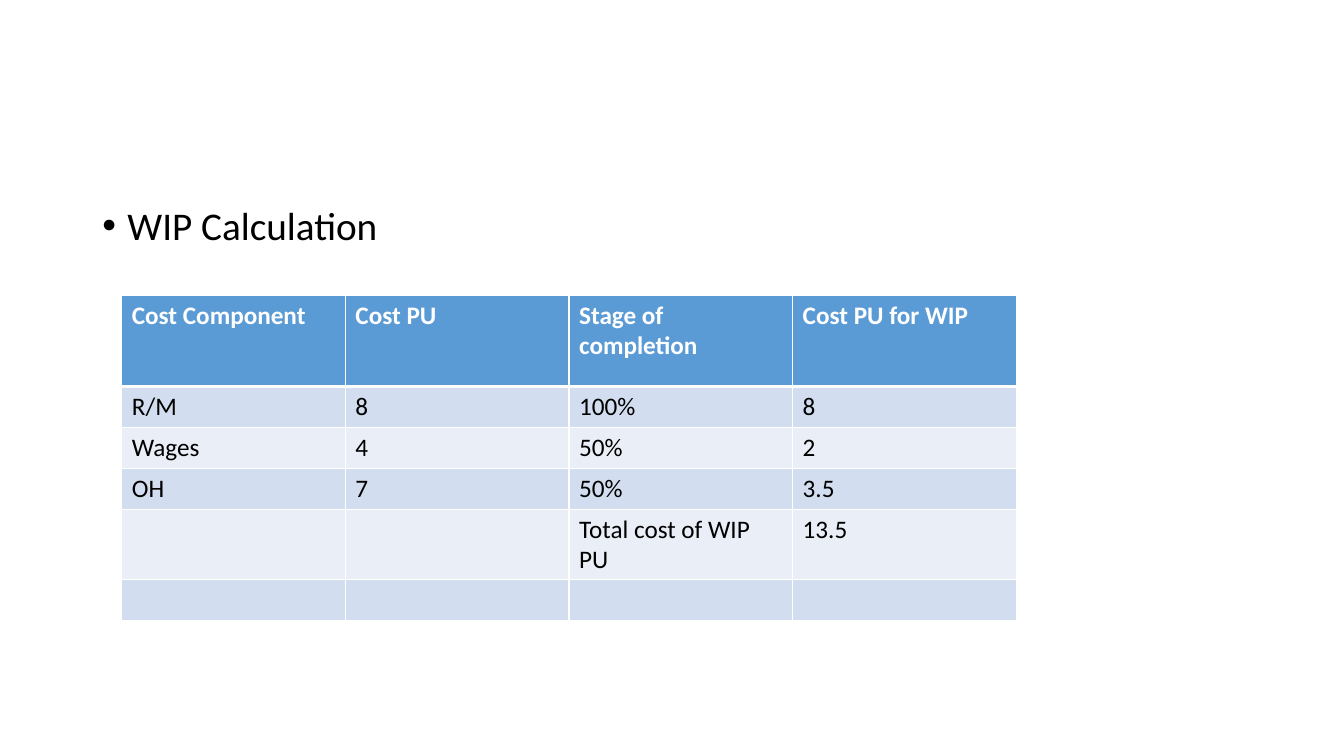
from dataclasses import dataclass

from lxml.etree import SubElement
from pptx import Presentation
from pptx.dml.color import RGBColor
from pptx.oxml.ns import qn
from pptx.util import Emu, Pt

EMU_PER_PX = 9525
FONT = "Calibri"
WHITE, BLACK = "FFFFFF", "000000"
HEADER_BLUE, BAND_DARK, BAND_LIGHT = "5B9BD5", "D2DEEF", "EAEFF7"
COLUMN_WIDTH, HEADER_HEIGHT, ROW_HEIGHT = 213, 87, 39
THIN, THICK = 1, 3


@dataclass(frozen=True)
class CostRow:
    component: str = ""
    unit_cost: str = ""
    completion: str = ""
    wip_cost: str = ""

    def texts(self) -> list[str]:
        return [self.component, self.unit_cost, self.completion, self.wip_cost]


COST_ROWS = [
    CostRow("Cost Component", "Cost PU", "Stage of completion", "Cost PU for WIP"),
    CostRow("R/M", "8", "100%", "8"),
    CostRow("Wages", "4", "50%", "2"),
    CostRow("OH", "7", "50%", "3.5"),
    CostRow(completion="Total cost of WIP PU", wip_cost="13.5"),
    CostRow(),
]


def px(length: int) -> Emu:
    return Emu(length * EMU_PER_PX)


def color(hex_code: str) -> RGBColor:
    return RGBColor.from_string(hex_code)


def style_text(para, size: int, hex_code: str, bold: bool = False) -> None:
    para.font.name = FONT
    para.font.size = Pt(size)
    para.font.bold = bold
    para.font.color.rgb = color(hex_code)


def add_border(cell, side: str, width: int) -> None:
    properties = cell._tc.get_or_add_tcPr()
    line = SubElement(properties, qn(f"a:ln{side}"), w=str(Pt(width)))
    fill = SubElement(line, qn("a:solidFill"))
    SubElement(fill, qn("a:srgbClr"), val=WHITE)


def add_bullet_text(page, text: str) -> None:
    box = page.shapes.add_textbox(px(88), px(192), px(1104), px(457))
    box.text_frame.word_wrap = True
    para = box.text_frame.paragraphs[0]
    para.text = text
    para.line_spacing = 0.9
    properties = para._p.get_or_add_pPr()
    properties.set("marL", str(px(24)))
    properties.set("indent", str(px(-24)))
    SubElement(properties, qn("a:buFont"), typeface="Arial")
    SubElement(properties, qn("a:buChar"), char="•")
    style_text(para, 28, BLACK)


def format_cell(cell, row_index: int) -> None:
    is_header = row_index == 0
    widths = {
        "L": THIN,
        "R": THIN,
        "T": THICK if row_index == 1 else THIN,
        "B": THICK if is_header else THIN,
    }
    for side, width in widths.items():
        add_border(cell, side, width)
    band = BAND_DARK if row_index % 2 else BAND_LIGHT
    cell.fill.solid()
    cell.fill.fore_color.rgb = color(HEADER_BLUE if is_header else band)
    style_text(cell.text_frame.paragraphs[0], 18, WHITE if is_header else BLACK, is_header)


def add_cost_table(page, cost_rows: list[CostRow]) -> None:
    column_count = len(cost_rows[0].texts())
    heights = [HEADER_HEIGHT] + [ROW_HEIGHT] * (len(cost_rows) - 1)
    table = page.shapes.add_table(
        len(cost_rows), column_count, px(116), px(281),
        px(COLUMN_WIDTH * column_count), px(sum(heights)),
    ).table
    for column in table.columns:
        column.width = px(COLUMN_WIDTH)
    for row_index, (cost_row, height) in enumerate(zip(cost_rows, heights)):
        table.rows[row_index].height = px(height)
        for column_index, text in enumerate(cost_row.texts()):
            cell = table.cell(row_index, column_index)
            if text:
                cell.text = text
            format_cell(cell, row_index)


def main() -> None:
    deck = Presentation()
    deck.slide_width, deck.slide_height = px(1280), px(720)
    page = deck.slides.add_slide(deck.slide_layouts.get_by_name("Blank"))
    add_bullet_text(page, "WIP Calculation")
    add_cost_table(page, COST_ROWS)
    deck.save("out.pptx")


if __name__ == "__main__":
    main()
